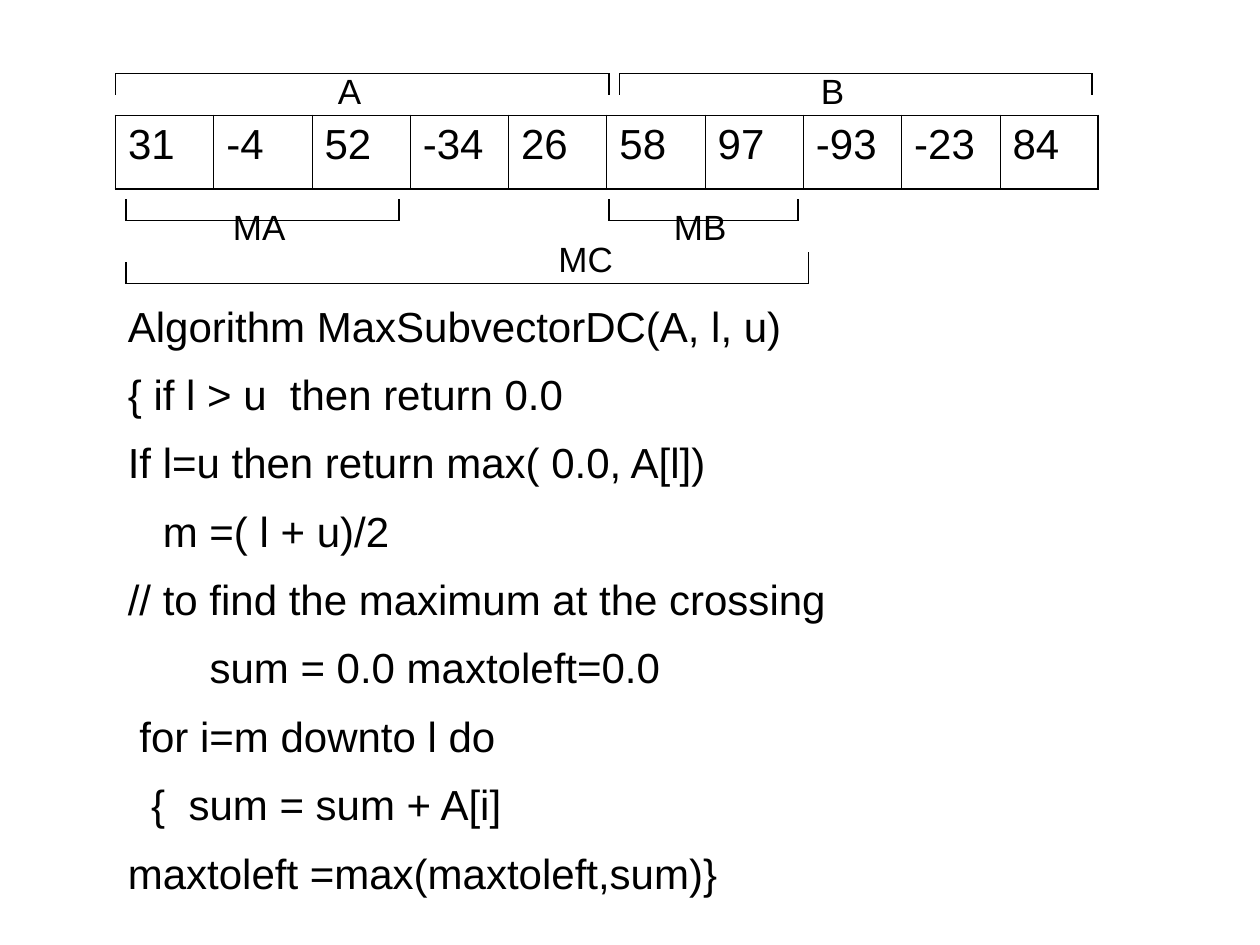
import lxml.etree
import pptx
import pptx.dml.color
import pptx.enum.shapes
import pptx.enum.text
import pptx.oxml.ns
import pptx.util

Pt = pptx.util.Pt
qn = pptx.oxml.ns.qn

BLACK = "000000"
FONT = "Arial"
SPACE_WIDTH = 6.67  # one space of the 24 pt code

VECTOR = [31, -4, 52, -34, 26, 58, 97, -93, -23, 84]
CELL_WIDTH = 56.16

# left, right, spine y, left tip y, right tip y
BRACKETS = [
    (66, 348, 42, 54, 54),
    (354, 624, 42, 54, 54),
    (72, 228, 126, 114, 114),
    (348, 456, 126, 114, 114),
    (72, 462, 162, 150, 144),
]
LABELS = [("A", 186, 36), ("B", 462, 36), ("MA", 126, 114),
          ("MB", 378, 114), ("MC", 312, 132)]

# indent in spaces, code
ALGORITHM = [
    (0, "Algorithm MaxSubvectorDC(A, l, u)"),
    (0, "{ if l > u  then return 0.0"),
    (0, "If l=u then return max( 0.0, A[l])"),
    (3, "m =( l + u)/2"),
    (0, "// to find the maximum at the crossing"),
    (7, "sum = 0.0 maxtoleft=0.0"),
    (1, "for i=m downto l do"),
    (2, "{  sum = sum + A[i]"),
    (0, "maxtoleft =max(maxtoleft,sum)}"),
]


def rgb(color):
    return pptx.dml.color.RGBColor.from_string(color)


def write(paragraph, text, size, space_before, indent=0):
    paragraph.space_before = Pt(space_before)
    if indent:
        properties = paragraph._p.get_or_add_pPr()
        properties.set("marL", str(Pt(indent)))
        properties.set("indent", "0")
    run = paragraph.add_run()
    run.text = text
    run.font.name = FONT
    run.font.size = Pt(size)
    run.font.color.rgb = rgb(BLACK)


def add_text(slide, left, top, width, height, lines, size, space_before):
    """Add a text box; lines are pairs of indent and text."""
    box = slide.shapes.add_textbox(Pt(left), Pt(top), Pt(width), Pt(height))
    frame = box.text_frame
    frame.word_wrap = True
    frame.auto_size = pptx.enum.text.MSO_AUTO_SIZE.SHAPE_TO_FIT_TEXT
    for number, (indent, text) in enumerate(lines):
        paragraph = frame.add_paragraph() if number else frame.paragraphs[0]
        write(paragraph, text, size, space_before, indent)


def add_line(slide, x1, y1, x2, y2):
    line = slide.shapes.add_connector(
        pptx.enum.shapes.MSO_CONNECTOR.STRAIGHT, Pt(x1), Pt(y1), Pt(x2), Pt(y2))
    line.line.color.rgb = rgb(BLACK)
    line.line.width = Pt(0.75)
    lxml.etree.SubElement(line._element.spPr, qn("a:effectLst"))


def add_bracket(slide, left, right, spine, left_tip, right_tip):
    add_line(slide, left, spine, right, spine)
    add_line(slide, left, spine, left, left_tip)
    add_line(slide, right, spine, right, right_tip)


def set_border(cell, side, width):
    border = lxml.etree.Element(qn("a:ln" + side), w=str(Pt(width)))
    fill = lxml.etree.SubElement(border, qn("a:solidFill"))
    lxml.etree.SubElement(fill, qn("a:srgbClr"), val=BLACK)
    return border


def add_vector(slide, left, top, height):
    """Add the one-row table with thick outer and thin inner borders."""
    count = len(VECTOR)
    table = slide.shapes.add_table(
        1, count, Pt(left), Pt(top), Pt(CELL_WIDTH * count), Pt(height)).table
    table.first_row = table.horz_banding = False
    for index, value in enumerate(VECTOR):
        table.columns[index].width = Pt(CELL_WIDTH)
        cell = table.cell(0, index)
        cell.fill.background()
        write(cell.text_frame.paragraphs[0], str(value), 24, 6)
        widths = {"L": 0.45 if index else 1.08,
                  "R": 0.45 if index < count - 1 else 1.08,
                  "T": 1.08, "B": 1.08}
        properties = cell._tc.get_or_add_tcPr()
        for position, (side, width) in enumerate(widths.items()):
            properties.insert(position, set_border(cell, side, width))


def main():
    deck = pptx.Presentation()
    deck.slide_width, deck.slide_height = Pt(720), Pt(540)
    slide = deck.slides.add_slide(deck.slide_layouts[6])
    add_vector(slide, 66, 66, 42)
    for bracket in BRACKETS:
        add_bracket(slide, *bracket)
    for name, left, top in LABELS:
        add_text(slide, left, top, 54, 31.5, [(0, name)], 20, 12.5)
    code = [(spaces * SPACE_WIDTH, text) for spaces, text in ALGORITHM]
    add_text(slide, 66, 168, 534, 338, code, 24, 10.25)
    deck.save("out.pptx")


if __name__ == "__main__":
    main()
